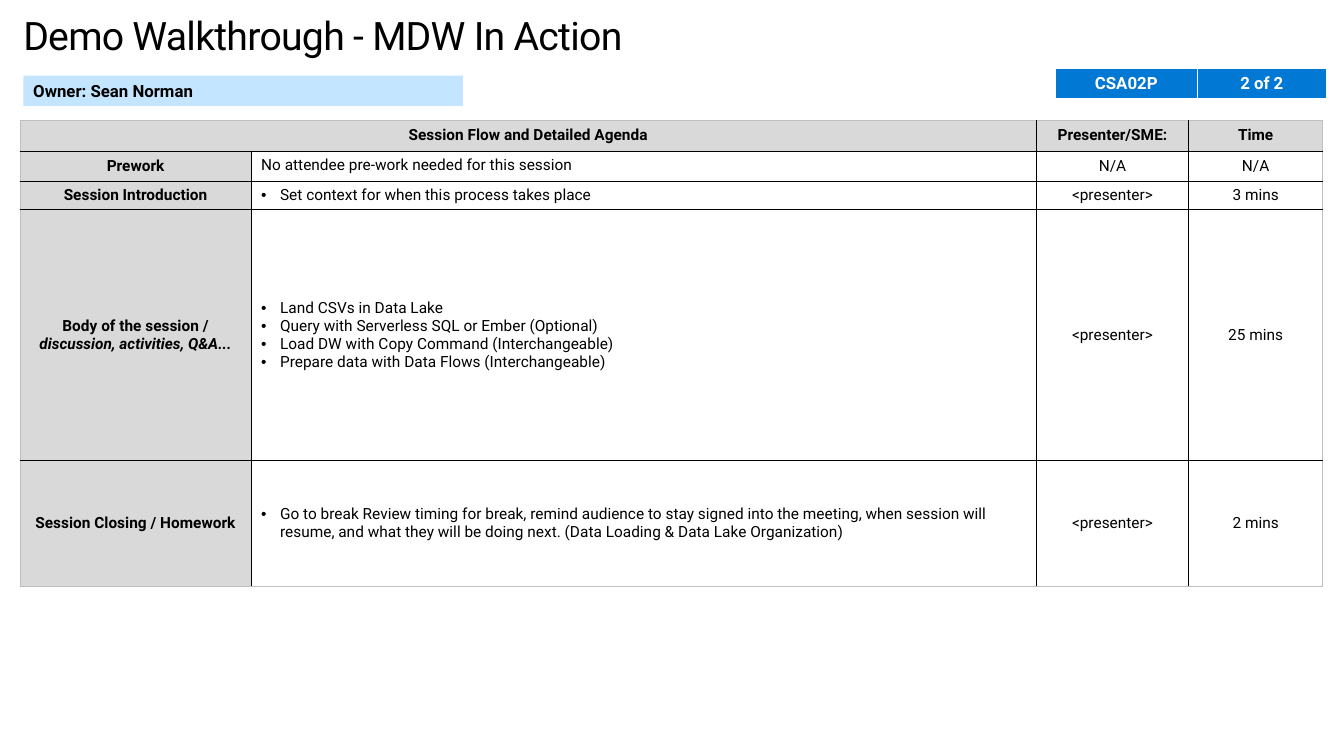
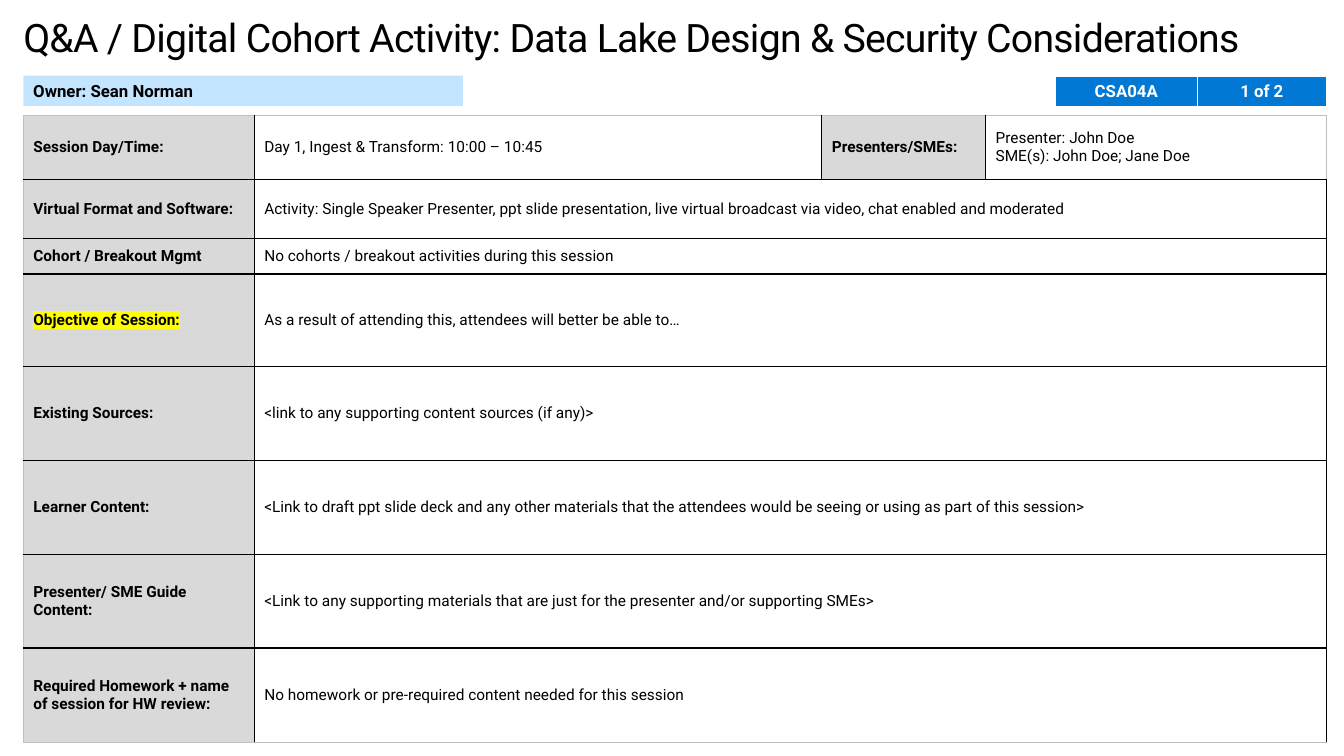
from pptx import Presentation
from pptx import util as u
from pptx.dml.color import RGBColor
from pptx.enum import shapes, text
from pptx.oxml import parse_xml
from pptx.oxml.ns import nsdecls

Pt = u.Pt
FACE = "Roboto"
HUES = {"ink": "000000", "paper": "FFFFFF", "label": "D9D9D9", "edge": "BFBFBF",
        "owner": "C3E5FF", "tag": "0078D4", "mark": "FFFF00"}
MID, TOP = text.MSO_ANCHOR.MIDDLE, text.MSO_ANCHOR.TOP
LEFT, CENTER = text.PP_ALIGN.LEFT, text.PP_ALIGN.CENTER


def style(para, size, hue, bold=False, align=LEFT):
    para.alignment = align
    font = para.font
    font.name, font.size, font.bold = FACE, Pt(size), bold
    font.color.rgb = RGBColor.from_string(HUES[hue])


def grid(slide, left, top, cols, rows, rule):
    table = slide.shapes.add_table(
        len(rows), len(cols), Pt(left), Pt(top), Pt(sum(cols)), Pt(sum(rows))).table
    table.first_row = table.horz_banding = False
    for col, width in zip(table.columns, cols):
        col.width = Pt(width)
    for row, height in zip(table.rows, rows):
        row.height = Pt(height)
    for r in range(len(rows)):
        for c in range(len(cols)):
            cell = table.cell(r, c)
            cell.vertical_anchor = MID
            outer = {"L": c == 0, "R": c == len(cols) - 1,
                     "T": r == 0, "B": r == len(rows) - 1}
            props = cell._tc.get_or_add_tcPr()
            for spot, side in enumerate("LRTB"):
                hue, width = rule(side, outer[side])
                props.insert(spot, parse_xml(
                    f'<a:ln{side} {nsdecls("a")} w="{Pt(width)}"><a:solidFill>'
                    f'<a:srgbClr val="{HUES[hue]}"/></a:solidFill></a:ln{side}>'))
    return table


def_rule = lambda side, outer: ("edge", 0.75) if outer else ("ink", 1)
tag_rule = lambda side, outer: ("paper", 3 if side == "B" else 1)

flow = [
    [["Session Flow and Detailed Agenda"], [], ["Presenter/SME:"], ["Time"]],
    [["Prework"], ["No attendee pre-work needed for this session"], ["N/A"], ["N/A"]],
    [["Session Introduction"], ["Set context for when this process takes place"],
     ["<presenter>"], ["3 mins"]],
    [["Body of the session /\vdiscussion, activities, Q&A..."],
     ["Land CSVs in Data Lake",
      "Query with Serverless SQL or Ember (Optional)",
      "Load DW with Copy Command (Interchangeable)",
      "Prepare data with Data Flows (Interchangeable)"],
     ["<presenter>"], ["25 mins"]],
    [["Session Closing / Homework"],
     ["Go to break Review timing for break, remind audience to stay signed into the "
      "meeting, when session will resume, and what they will be doing next. "
      "(Data Loading & Data Lake Organization)"],
     ["<presenter>"], ["2 mins"]],
]
facts = [
    [["Session Day/Time:"], ["Day 1, Ingest & Transform: 10:00 – 10:45"],
     ["Presenters/SMEs:"], ["Presenter: John Doe", "SME(s): John Doe; Jane Doe"]],
    [["Virtual Format and Software:"],
     ["Activity: Single Speaker Presenter, ppt slide presentation, live virtual "
      "broadcast via video, chat enabled and moderated"]],
    [["Cohort / Breakout Mgmt"], ["No cohorts / breakout activities during this session"]],
    [["Objective of Session:"],
     ["As a result of attending this, attendees will better be able to…"]],
    [["Existing Sources:"], ["<link to any supporting content sources (if any)>"]],
    [["Learner Content:"],
     ["<Link to draft ppt slide deck and any other materials that the attendees would "
      "be seeing or using as part of this session>"]],
    [["Presenter/ SME Guide Content:"],
     ["<Link to any supporting materials that are just for the presenter and/or "
      "supporting SMEs>"]],
    [["Required Homework + name of session for HW review:"],
     ["No homework or pre-required content needed for this session"]],
]
pages = [
    {"title": "Demo Walkthrough - MDW In Action", "top": 8, "tags": ["CSA02P", "2 of 2"],
     "tagtop": 49, "at": (14.4, 85.7), "cols": [165, 561, 108.7, 95.8],
     "rows": [22.3, 21.6, 20.2, 179.3, 90], "cells": flow, "flow": True},
    {"title": "Q&A / Digital Cohort Activity: Data Lake Design & Security Considerations",
     "top": 9.4, "tags": ["CSA04A", "1 of 2"],
     "tagtop": 54.7, "at": (16.6, 82.5), "cols": [165, 405.4, 117, 243.4],
     "rows": [45.5, 42.5, 25.2, 66.2, 67, 67, 67, 67.7], "cells": facts, "flow": False},
]

deck = Presentation()
deck.slide_width, deck.slide_height = Pt(960), Pt(540)

for page in pages:
    slide = deck.slides.add_slide(deck.slide_layouts[5])
    title = slide.shapes.title
    title.left, title.top, title.width, title.height = (
        Pt(16.6), Pt(page["top"]), Pt(926.6), Pt(34))
    frame = title.text_frame
    frame.margin_left = frame.margin_right = frame.margin_top = frame.margin_bottom = 0
    frame.vertical_anchor, frame.word_wrap = MID, True
    frame.text = page["title"]
    style(frame.paragraphs[0], 28, "ink")
    frame.paragraphs[0].runs[0]._r.get_or_add_rPr().set("spc", "-50")

    owner = slide.shapes.add_shape(
        shapes.MSO_SHAPE.RECTANGLE, Pt(16.6), Pt(54), Pt(314), Pt(21.6))
    owner.shadow.inherit = False
    owner.fill.solid()
    owner.fill.fore_color.rgb = RGBColor.from_string(HUES["owner"])
    owner.line.fill.background()
    owner.text_frame.text = "Owner: Sean Norman"
    owner.text_frame.vertical_anchor = MID
    style(owner.text_frame.paragraphs[0], 12, "ink", True)

    tags = grid(slide, 753.8, page["tagtop"], [101.5, 92.2], [22.3], tag_rule)
    for c, tag in enumerate(page["tags"]):
        cell = tags.cell(0, c)
        cell.vertical_anchor = TOP
        cell.fill.solid()
        cell.fill.fore_color.rgb = RGBColor.from_string(HUES["tag"])
        cell.text = tag
        style(cell.text_frame.paragraphs[0], 12, "paper", True, CENTER)

    agenda = page["flow"]
    table = grid(slide, *page["at"], page["cols"], page["rows"], def_rule)
    if agenda:
        table.cell(0, 0).merge(table.cell(0, 1))
    for r, row in enumerate(page["cells"]):
        if len(row) == 2:
            table.cell(r, 1).merge(table.cell(r, 3))
        for c, lines in enumerate(row):
            if not lines:
                continue
            cell = table.cell(r, c)
            label = c == 0 or (r == 0 and (agenda or c == 2))
            cell.fill.solid()
            cell.fill.fore_color.rgb = RGBColor.from_string(
                HUES["label" if label else "paper"])
            cell.text = "\n".join(lines)
            if agenda and c == 1 and r < 3:
                cell.vertical_anchor = TOP
            for para in cell.text_frame.paragraphs:
                if agenda and c == 1 and r > 1:
                    props = para._p.get_or_add_pPr()
                    props.set("marL", str(Pt(13.5)))
                    props.set("indent", str(-Pt(13.5)))
                    props.append(parse_xml(f'<a:buFont {nsdecls("a")} typeface="Arial"/>'))
                    props.append(parse_xml(f'<a:buChar {nsdecls("a")} char="•"/>'))
                style(para, 11, "ink", label, CENTER if agenda and c != 1 else LEFT)

    if agenda:
        table.cell(3, 0).text_frame.paragraphs[0].runs[1].font.italic = True
    else:
        run = table.cell(3, 0).text_frame.paragraphs[0].runs[0]
        run._r.get_or_add_rPr().append(parse_xml(
            f'<a:highlight {nsdecls("a")}><a:srgbClr val="{HUES["mark"]}"/></a:highlight>'))

deck.save("out.pptx")
